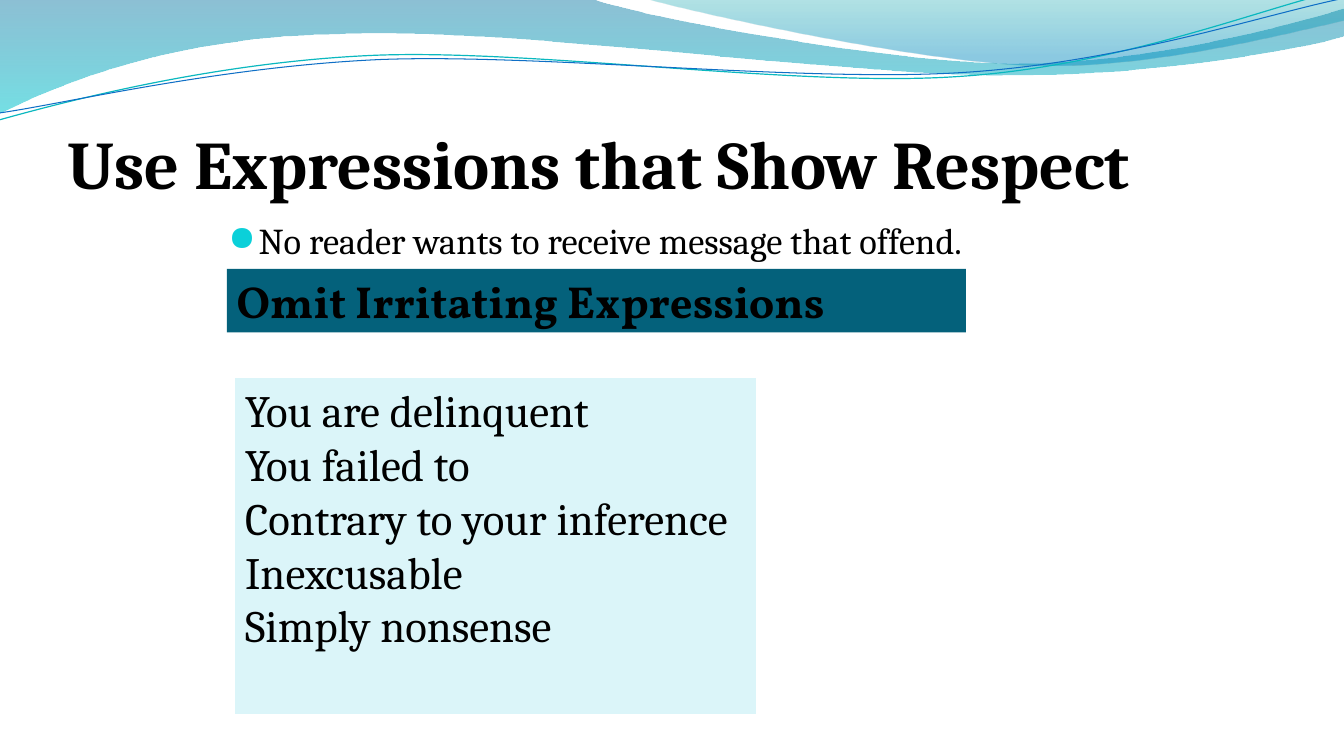
from dataclasses import dataclass

from lxml.etree import SubElement
from pptx import Presentation
from pptx.dml.color import RGBColor
from pptx.enum.shapes import MSO_SHAPE
from pptx.enum.text import MSO_ANCHOR, MSO_AUTO_SIZE, PP_ALIGN
from pptx.oxml.ns import qn
from pptx.shapes.autoshape import Shape
from pptx.slide import Slide
from pptx.text.text import TextFrame, _Paragraph
from pptx.util import Pt

COLORS = {
    "text": "000000",
    "bullet": "0BD0D9",
    "heading": "04617B",
    "panel": "DBF5F9",
    "deep_blue": "0074A1",
    "aqua": "00C6CF",
    "teal": "00A1A9",
    "sky": "008BBF",
    "teal_line": "0AB8BF",
    "blue_line": "0F6FC6",
}

Point = tuple[float, float]


@dataclass
class GradientStop:
    position: float
    color: str
    opacity: int


@dataclass
class Wave:
    """A start point, then segments: one point for a line, three for a curve."""
    start: Point
    segments: list[list[Point]]
    gradient: tuple[GradientStop, ...] = ()
    line_color: str = ""
    line_width: float = 0


@dataclass
class Panel:
    left: float
    top: float
    width: float
    height: float
    fill: str
    font: str
    bold: bool
    lines: list[str]


WAVES = [
    Wave((0, 0), [
        [(422.6, -0.7)],
        [(456.5, 12.2), (637.2, 45.4), (727.9, 45.4)],
        [(819.4, 45.4), (920.2, 18.7), (959.8, 6.5)],
        [(961.2, 25.9)],
        [(943.9, 31.7), (835.2, 54.7), (715.7, 54)],
        [(596.9, 54), (366.5, 20.2), (247, 24.5)],
        [(123.1, 25.9), (43.9, 59.8), (-0.7, 81.4)],
    ], gradient=(GradientStop(0, "deep_blue", 45), GradientStop(1, "aqua", 55))),
    Wave((460.1, -0.7), [
        [(488.9, 7.9), (654.5, 44.6), (738, 46.8)],
        [(821.5, 49.7), (923, 23), (959.8, 15.1)],
        [(959.8, 0)],
    ], gradient=(GradientStop(0, "teal", 30), GradientStop(0.8, "sky", 45))),
    Wave((-0.7, 85.7), [
        [(46.1, 72.7), (151.9, 44.6), (265.7, 39.6)],
        [(379.4, 34.6), (568.8, 62.6), (684, 54.7)],
        [(799.2, 47.5), (901.4, 5.8), (958.3, -7.2)],
    ], line_color="teal_line", line_width=0.85),
    Wave((0, 80.6), [
        [(45.4, 74.2), (157, 47.5), (272.2, 42.5)],
        [(386.6, 38.2), (573.1, 59), (687.6, 51.8)],
        [(802.8, 44.6), (903.6, 10.1), (960.5, -1.4)],
    ], line_color="blue_line", line_width=0.75),
]

PANELS = [
    Panel(162, 192, 528, 45.5, "heading", "Vollkorn", True,
          ["Omit Irritating Expressions"]),
    Panel(168, 270, 372, 240, "panel", "Cambria", False,
          ["You are delinquent", "You failed to", "Contrary to your inference",
           "Inexcusable", "Simply nonsense"]),
]


def rgb(name: str) -> RGBColor:
    return RGBColor.from_string(COLORS[name])


def add_text(paragraph: _Paragraph, text: str, size: float,
             font: str = "Cambria", bold: bool = False) -> None:
    paragraph.alignment = PP_ALIGN.LEFT
    run = paragraph.add_run()
    run.text = text
    run.font.name = font
    run.font.size = Pt(size)
    run.font.bold = bold
    run.font.color.rgb = rgb("text")


def set_frame(frame: TextFrame, anchor: MSO_ANCHOR) -> None:
    frame.word_wrap = True
    frame.auto_size = MSO_AUTO_SIZE.NONE
    frame.vertical_anchor = anchor


def bend_segments(shape: Shape, segments: list[list[Point]]) -> None:
    """Turn each run of three straight steps into one cubic curve."""
    steps = iter(list(shape.element.spPr.iter(qn("a:lnTo"))))
    for segment in segments:
        group = [next(steps) for _ in segment]
        if len(group) == 3:
            curve = SubElement(group[0].getparent(), qn("a:cubicBezTo"))
            group[0].addprevious(curve)
            for step in group:
                curve.append(step[0])
                step.getparent().remove(step)


def fill_gradient(shape: Shape, gradient: tuple[GradientStop, ...]) -> None:
    shape.fill.gradient()
    shape.fill.gradient_angle = 270
    for stop, wanted in zip(shape.fill.gradient_stops, gradient):
        stop.position = wanted.position
        stop.color.rgb = rgb(wanted.color)
    for color, wanted in zip(shape.element.spPr.iter(qn("a:srgbClr")), gradient):
        SubElement(color, qn("a:alpha")).set("val", str(wanted.opacity * 1000))


def add_wave(slide: Slide, wave: Wave) -> None:
    builder = slide.shapes.build_freeform(Pt(wave.start[0]), Pt(wave.start[1]))
    points = [(Pt(x), Pt(y)) for segment in wave.segments for x, y in segment]
    builder.add_line_segments(points, close=False)
    if wave.gradient:
        builder.add_line_segments([], close=True)
    shape = builder.convert_to_shape()
    bend_segments(shape, wave.segments)
    shape.shadow.inherit = False
    if wave.gradient:
        fill_gradient(shape, wave.gradient)
        shape.line.fill.background()
    else:
        shape.fill.background()
        shape.line.color.rgb = rgb(wave.line_color)
        shape.line.width = Pt(wave.line_width)


def add_title(slide: Slide) -> None:
    title = slide.shapes.title
    slide.shapes.element.append(title.element)  # in front of the waves
    title.left, title.top, title.width, title.height = Pt(48), Pt(55), Pt(864), Pt(90)
    frame = title.text_frame
    set_frame(frame, MSO_ANCHOR.BOTTOM)
    frame.margin_left = frame.margin_right = frame.margin_bottom = 0
    add_text(frame.paragraphs[0], "Use Expressions that Show Respect", 48.6, bold=True)


def add_bullet(slide: Slide) -> None:
    box = slide.shapes.add_textbox(Pt(156), Pt(152.5), Pt(648), Pt(363.5))
    set_frame(box.text_frame, MSO_ANCHOR.TOP)
    paragraph = box.text_frame.paragraphs[0]
    paragraph.space_before = Pt(5.2)
    add_text(paragraph, "No reader wants to receive message that offend.", 26)
    properties = paragraph._p.get_or_add_pPr()
    properties.set("marL", str(Pt(21.6)))
    properties.set("indent", str(-Pt(21.6)))
    color = SubElement(properties, qn("a:buClr"))
    SubElement(color, qn("a:srgbClr")).set("val", COLORS["bullet"])
    SubElement(properties, qn("a:buSzPct")).set("val", "95000")
    SubElement(properties, qn("a:buFont")).set("typeface", "OpenSymbol")
    SubElement(properties, qn("a:buChar")).set("char", "●")


def add_panel(slide: Slide, panel: Panel) -> None:
    shape = slide.shapes.add_shape(MSO_SHAPE.RECTANGLE, Pt(panel.left), Pt(panel.top),
                                   Pt(panel.width), Pt(panel.height))
    shape.shadow.inherit = False
    shape.fill.solid()
    shape.fill.fore_color.rgb = rgb(panel.fill)
    shape.line.fill.background()
    frame = shape.text_frame
    set_frame(frame, MSO_ANCHOR.TOP)
    for index, line in enumerate(panel.lines):
        paragraph = frame.add_paragraph() if index else frame.paragraphs[0]
        add_text(paragraph, line, 32, panel.font, panel.bold)


def main() -> None:
    deck = Presentation()
    deck.slide_width, deck.slide_height = Pt(960), Pt(540)
    slide = deck.slides.add_slide(deck.slide_layouts.get_by_name("Title Only"))
    # Waves along the top
    for wave in WAVES:
        add_wave(slide, wave)
    # Title, bullet and expressions
    add_title(slide)
    add_bullet(slide)
    for panel in PANELS:
        add_panel(slide, panel)
    deck.save("out.pptx")


if __name__ == "__main__":
    main()
